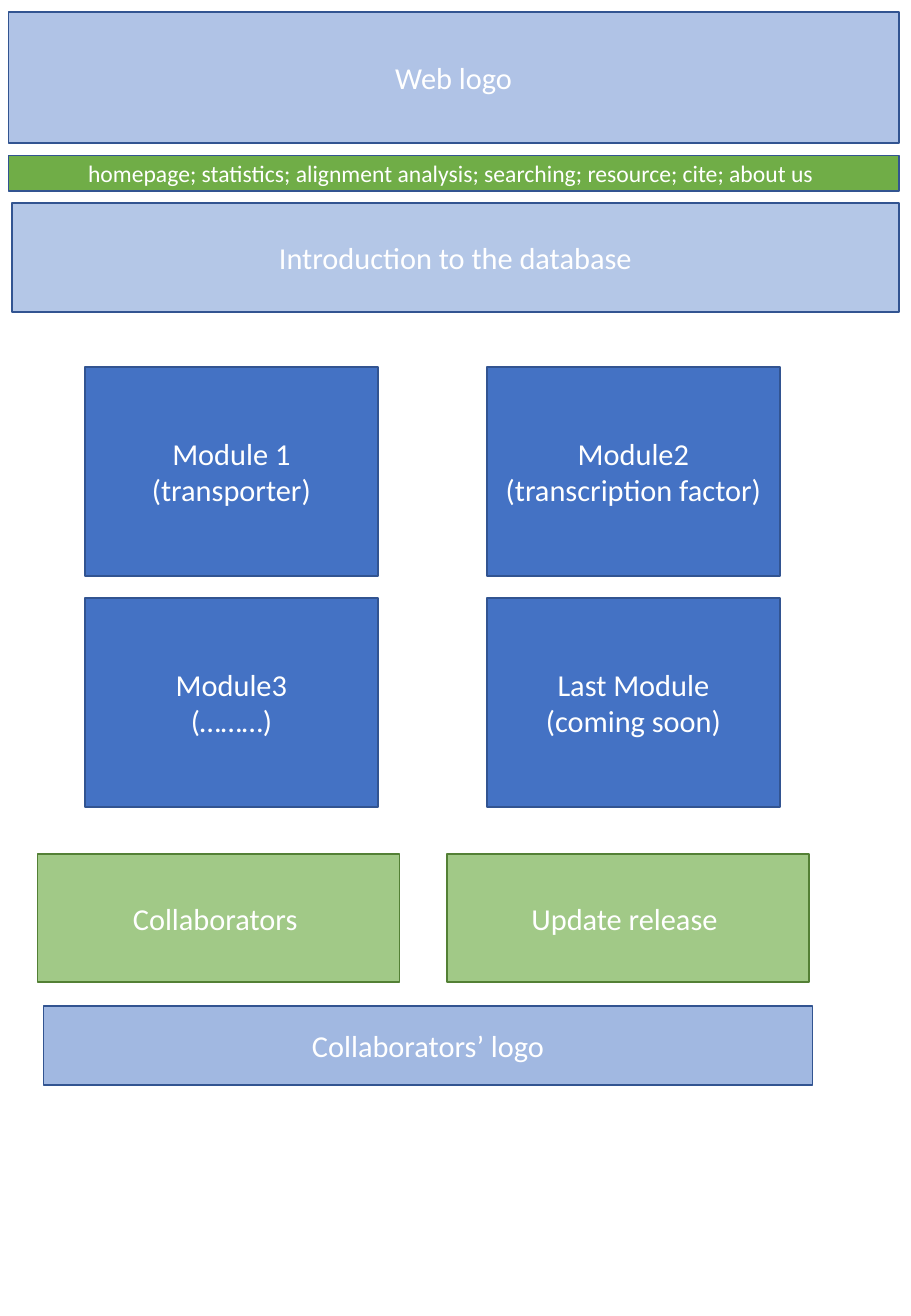
from dataclasses import dataclass

from lxml.etree import SubElement
from pptx import Presentation
from pptx.dml.color import RGBColor
from pptx.enum.shapes import MSO_SHAPE as Preset
from pptx.enum.text import MSO_ANCHOR as Anchor, PP_ALIGN as Align
from pptx.oxml.ns import qn
from pptx.util import Inches, Pt


@dataclass(frozen=True)
class Theme:
    font: str = "Calibri"
    body_size: int = 18
    menu_size: int = 14
    line_width: int = 1
    text: str = "FFFFFF"
    blue: str = "4472C4"
    pale_blue: str = "B4C7E7"
    green: str = "70AD47"
    blue_line: str = "325491"
    green_line: str = "538035"


THEME = Theme()


def set_opacity(shape, percent):
    color = shape.fill._xPr.find(qn("a:solidFill"))[0]
    SubElement(color, qn("a:alpha")).set("val", str(percent * 1000))


def write_text(shape, text, size):
    text_frame = shape.text_frame
    text_frame.word_wrap = True
    text_frame.vertical_anchor = Anchor.MIDDLE
    text_frame.text = text
    for paragraph in text_frame.paragraphs:
        paragraph.alignment = Align.CENTER
        for run in paragraph.runs:
            run.font.name = THEME.font
            run.font.size = Pt(size)
            run.font.color.rgb = RGBColor.from_string(THEME.text)


def add_block(slide, text, left, top, width, height, fill=THEME.blue,
              line=THEME.blue_line, opacity=100, size=THEME.body_size):
    shape = slide.shapes.add_shape(
        Preset.RECTANGLE, Inches(left), Inches(top), Inches(width), Inches(height))
    shape.shadow.inherit = False
    shape.fill.solid()
    shape.fill.fore_color.rgb = RGBColor.from_string(fill)
    if opacity < 100:
        set_opacity(shape, opacity)
    shape.line.color.rgb = RGBColor.from_string(line)
    shape.line.width = Pt(THEME.line_width)
    write_text(shape, text, size)


def add_header(slide):
    add_block(slide, "Web logo", 0.07, 0.1, 7.33, 1.08, opacity=42)
    add_block(slide,
              "homepage; statistics; alignment analysis; searching; resource; cite; about us ",
              0.07, 1.28, 7.33, 0.29, fill=THEME.green, size=THEME.menu_size)
    add_block(slide, "Introduction to the database", 0.1, 1.67, 7.3, 0.9,
              fill=THEME.pale_blue)


def add_modules(slide):
    modules = [
        "Module 1 (transporter)",
        "Module2\n(transcription factor)",
        "Module3\n(………)",
        "Last Module\n(coming soon)",
    ]
    for index, text in enumerate(modules):
        row, column = divmod(index, 2)
        add_block(slide, text, 0.7 + column * 3.31, 3.02 + row * 1.9, 2.41, 1.72)


def add_footer(slide):
    for column, text in enumerate(["Collaborators ", "Update release "]):
        add_block(slide, text, 0.31 + column * 3.37, 7.03, 2.98, 1.05,
                  fill=THEME.green, line=THEME.green_line, opacity=65)
    add_block(slide, "Collaborators’ logo", 0.36, 8.28, 6.33, 0.65, opacity=50)


def main():
    presentation = Presentation()
    presentation.slide_width = Inches(7.5)
    presentation.slide_height = Inches(10.83)
    slide = presentation.slides.add_slide(presentation.slide_layouts[6])
    add_header(slide)
    add_modules(slide)
    add_footer(slide)
    presentation.save("out.pptx")


if __name__ == "__main__":
    main()
